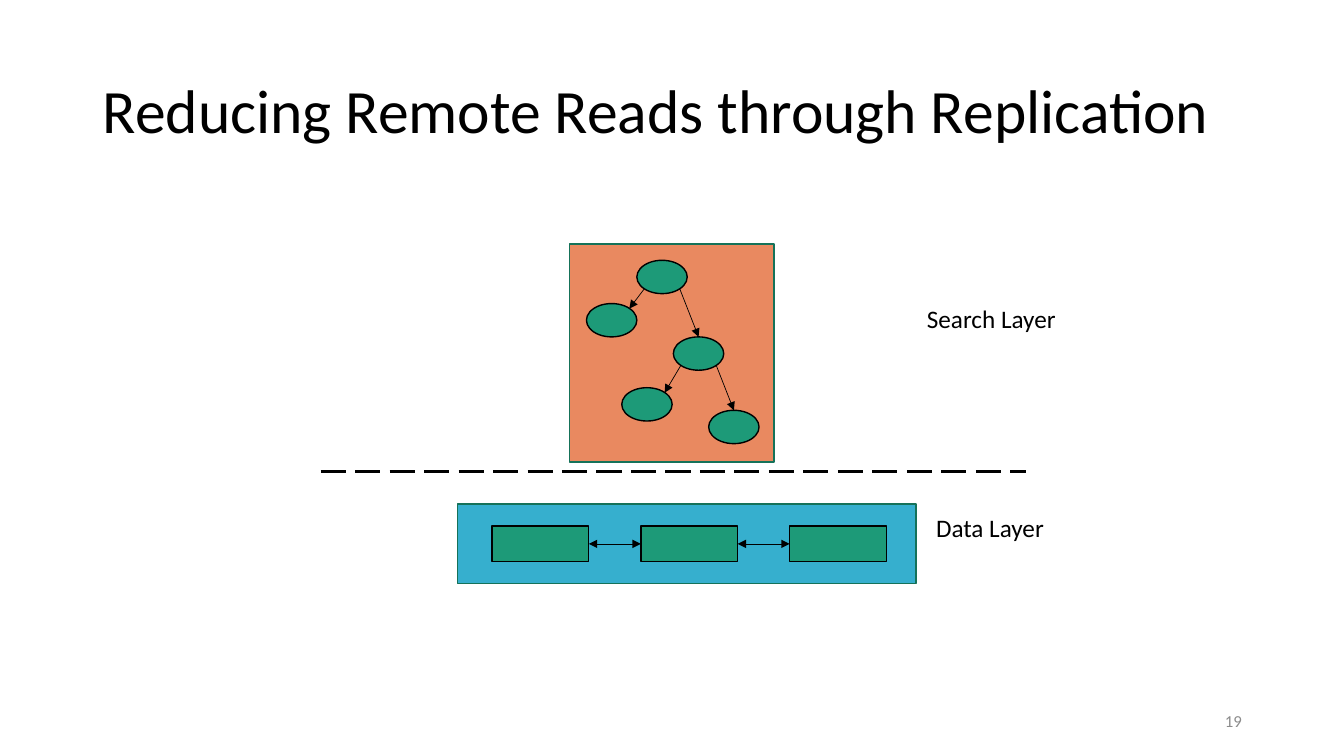
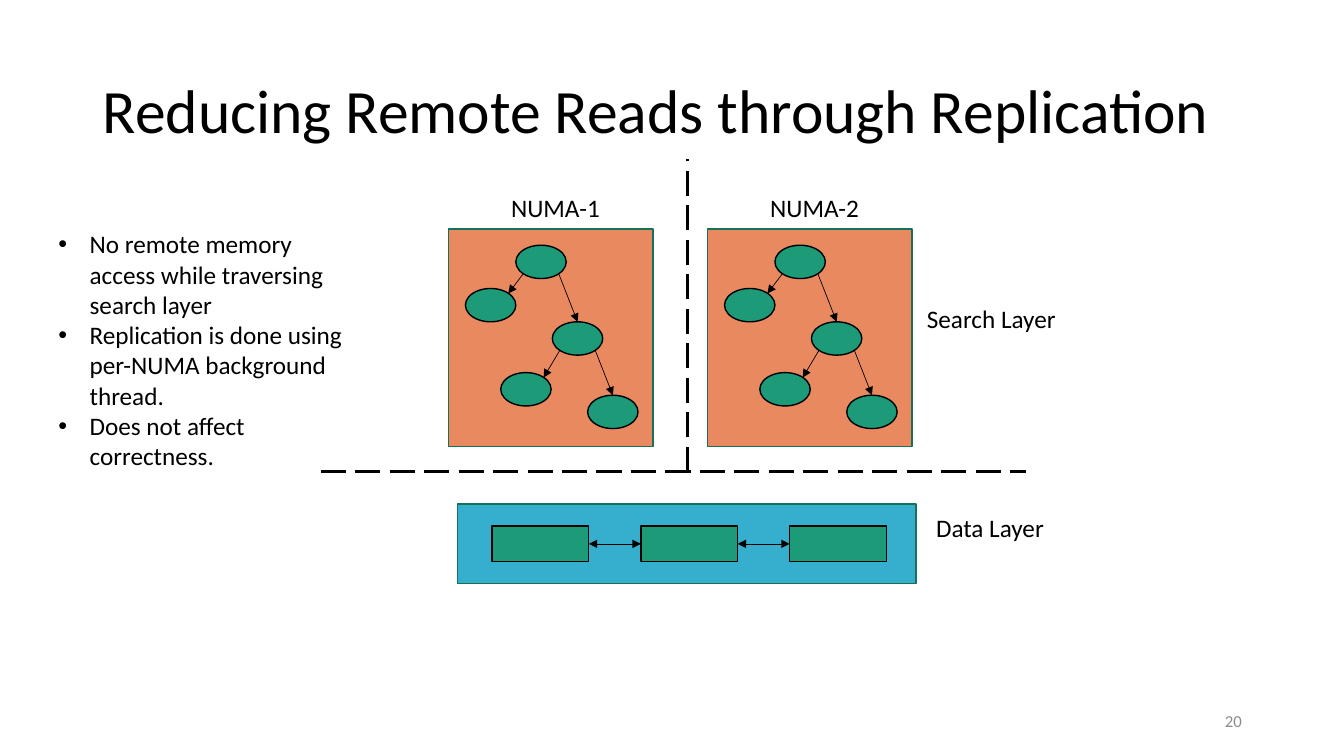
from dataclasses import dataclass
from typing import Any, NamedTuple

from lxml.etree import SubElement
from pptx import Presentation
from pptx.dml.color import RGBColor
from pptx.enum.dml import MSO_LINE
from pptx.enum.shapes import MSO_CONNECTOR, MSO_SHAPE
from pptx.enum.text import MSO_ANCHOR, PP_ALIGN
from pptx.oxml.ns import qn
from pptx.util import Cm, Pt

BLACK = RGBColor(0x00, 0x00, 0x00)
GREY = RGBColor(0x8C, 0x8C, 0x8C)
GREEN = RGBColor(0x1D, 0x9A, 0x78)
DARK_GREEN = RGBColor(0x15, 0x72, 0x59)
ORANGE = RGBColor(0xE9, 0x89, 0x60)
BLUE = RGBColor(0x36, 0xAF, 0xCE)

TITLE = "Reducing Remote Reads through Replication"
BENEFITS = [
    "No remote memory access while traversing search layer",
    "Replication is done using per-NUMA background thread.",
    "Does not affect correctness.",
]


class Point(NamedTuple):
    x: float
    y: float


class Box(NamedTuple):
    left: float
    top: float
    width: float
    height: float

    def at(self, across: float, down: float) -> Point:
        return Point(self.left + across * self.width, self.top + down * self.height)

    def lengths(self) -> list[Cm]:
        return [Cm(value) for value in self]


@dataclass(frozen=True)
class TextStyle:
    size: int = 18
    color: RGBColor = BLACK
    align: PP_ALIGN = PP_ALIGN.LEFT
    anchor: MSO_ANCHOR = MSO_ANCHOR.TOP
    line_spacing: float = 1.0
    bullet: bool = False


@dataclass(frozen=True)
class Edge:
    parent: int
    child: int
    goes_left: bool


@dataclass(frozen=True)
class Replica:
    left: float
    top: float
    name: str = ""


@dataclass(frozen=True)
class Page:
    number: str
    replicas: list[Replica]
    benefits: list[str]


BODY = TextStyle()
BULLETS = TextStyle(bullet=True)
TITLE_STYLE = TextStyle(size=44, anchor=MSO_ANCHOR.MIDDLE, line_spacing=0.9)
NUMBER_STYLE = TextStyle(12, GREY, PP_ALIGN.RIGHT, MSO_ANCHOR.MIDDLE)

TREE_WIDTH, TREE_HEIGHT = 5.16, 5.49
NODE_WIDTH, NODE_HEIGHT = 1.27, 0.84
NODES = [
    Point(1.7, 0.41),
    Point(0.43, 1.5),
    Point(2.62, 2.34),
    Point(1.32, 3.62),
    Point(3.51, 4.19),
]
EDGES = [Edge(0, 1, True), Edge(0, 2, False), Edge(2, 3, True), Edge(2, 4, False)]
NEAR, FAR = 0.15, 0.85

DATA_PANEL = Box(11.53, 12.7, 11.56, 2.01)
BLOCK = Box(12.4, 13.26, 2.44, 0.89)
BLOCK_STEP = 3.75
BLOCK_COUNT = 3

LAYER_LINE = (Point(8.08, 11.89), Point(25.86, 11.89))
REPLICA_LINE = (Point(17.32, 11.89), Point(17.32, 4.01))
LAYER_LABELS = {
    "Search Layer": Box(23.11, 7.52, 5.03, 1.02),
    "Data Layer": Box(23.34, 12.78, 5.03, 1.02),
}

PAGES = [
    Page("19", [Replica(14.35, 6.15)], []),
    Page("20", [Replica(11.3, 5.77, "NUMA-1"), Replica(17.83, 5.77, "NUMA-2")], BENEFITS),
]


def set_attributes(target: Any, values: dict[str, Any]) -> None:
    for name, value in values.items():
        setattr(target, name, value)


def add_text(shapes: Any, box: Box, lines: list[str], style: TextStyle = BODY) -> None:
    frame = shapes.add_textbox(*box.lengths()).text_frame
    set_attributes(frame, {"word_wrap": True, "vertical_anchor": style.anchor})
    for index, line in enumerate(lines):
        paragraph = frame.add_paragraph() if index else frame.paragraphs[0]
        set_attributes(paragraph, {"alignment": style.align, "line_spacing": style.line_spacing})
        if style.bullet:
            properties = paragraph._p.get_or_add_pPr()
            properties.set("marL", str(Cm(0.79)))
            properties.set("indent", str(-Cm(0.79)))
            SubElement(properties, qn("a:buFont"), typeface="Arial")
            SubElement(properties, qn("a:buChar"), char="•")
        run = paragraph.add_run()
        run.text = line
        set_attributes(run.font, {"name": "Calibri", "size": Pt(style.size)})
        run.font.color.rgb = style.color


def add_box(shapes: Any, kind: MSO_SHAPE, box: Box, fill: RGBColor, outline: RGBColor) -> None:
    shape = shapes.add_shape(kind, *box.lengths())
    shape.shadow.inherit = False
    shape.fill.solid()
    shape.fill.fore_color.rgb = fill
    shape.line.color.rgb = outline
    shape.line.width = Pt(1)


def add_line(shapes: Any, start: Point, end: Point, width: float, arrows: tuple[str, ...] = ()) -> Any:
    connector = shapes.add_connector(
        MSO_CONNECTOR.STRAIGHT, *[Cm(value) for value in (*start, *end)]
    )
    connector.line.color.rgb = BLACK
    connector.line.width = Pt(width)
    for arrow in arrows:
        SubElement(connector.line._get_or_add_ln(), qn(arrow), type="triangle")
    SubElement(connector._element.spPr, qn("a:effectLst"))
    return connector


def add_divider(shapes: Any, start: Point, end: Point) -> None:
    add_line(shapes, start, end, 2.25).line.dash_style = MSO_LINE.LONG_DASH


def add_search_tree(slide: Any, replica: Replica) -> None:
    shapes = slide.shapes.add_group_shape().shapes
    panel = Box(replica.left, replica.top, TREE_WIDTH, TREE_HEIGHT)
    add_box(shapes, MSO_SHAPE.RECTANGLE, panel, ORANGE, DARK_GREEN)
    nodes = [
        Box(panel.left + node.x, panel.top + node.y, NODE_WIDTH, NODE_HEIGHT) for node in NODES
    ]
    for node in nodes:
        add_box(shapes, MSO_SHAPE.OVAL, node, GREEN, BLACK)
    for edge in EDGES:
        start = nodes[edge.parent].at(NEAR if edge.goes_left else FAR, FAR)
        child = nodes[edge.child]
        end = child.at(FAR, NEAR) if edge.goes_left else child.at(0.5, 0)
        add_line(shapes, start, end, 0.5, ("a:tailEnd",))
    if replica.name:
        label = Box(panel.left + 1.33, panel.top - 1.05, 3.35, 1.02)
        add_text(slide.shapes, label, [replica.name])


def add_data_layer(slide: Any) -> None:
    shapes = slide.shapes.add_group_shape().shapes
    add_box(shapes, MSO_SHAPE.RECTANGLE, DATA_PANEL, BLUE, DARK_GREEN)
    blocks = [
        BLOCK._replace(left=BLOCK.left + index * BLOCK_STEP) for index in range(BLOCK_COUNT)
    ]
    for block in blocks:
        add_box(shapes, MSO_SHAPE.RECTANGLE, block, GREEN, BLACK)
    for block, following in zip(blocks, blocks[1:]):
        add_line(
            shapes, block.at(1, 0.5), following.at(0, 0.5), 0.5, ("a:headEnd", "a:tailEnd")
        )


def add_page(presentation: Any, page: Page) -> None:
    slide = presentation.slides.add_slide(presentation.slide_layouts[6])
    shapes = slide.shapes
    add_text(shapes, Box(2.34, 1.02, 29.21, 3.68), [TITLE], TITLE_STYLE)
    add_text(shapes, Box(23.93, 17.65, 7.62, 1.02), [page.number], NUMBER_STYLE)
    for replica in page.replicas:
        add_search_tree(slide, replica)
    add_data_layer(slide)
    add_divider(shapes, *LAYER_LINE)
    for text, box in LAYER_LABELS.items():
        add_text(shapes, box, [text])
    if len(page.replicas) > 1:
        add_divider(shapes, *REPLICA_LINE)
    if page.benefits:
        add_text(shapes, Box(1.22, 5.64, 8.18, 6.4), page.benefits, BULLETS)


def main() -> None:
    presentation = Presentation()
    set_attributes(presentation, {"slide_width": Cm(33.87), "slide_height": Cm(19.05)})
    for page in PAGES:
        add_page(presentation, page)
    presentation.save("out.pptx")


if __name__ == "__main__":
    main()
